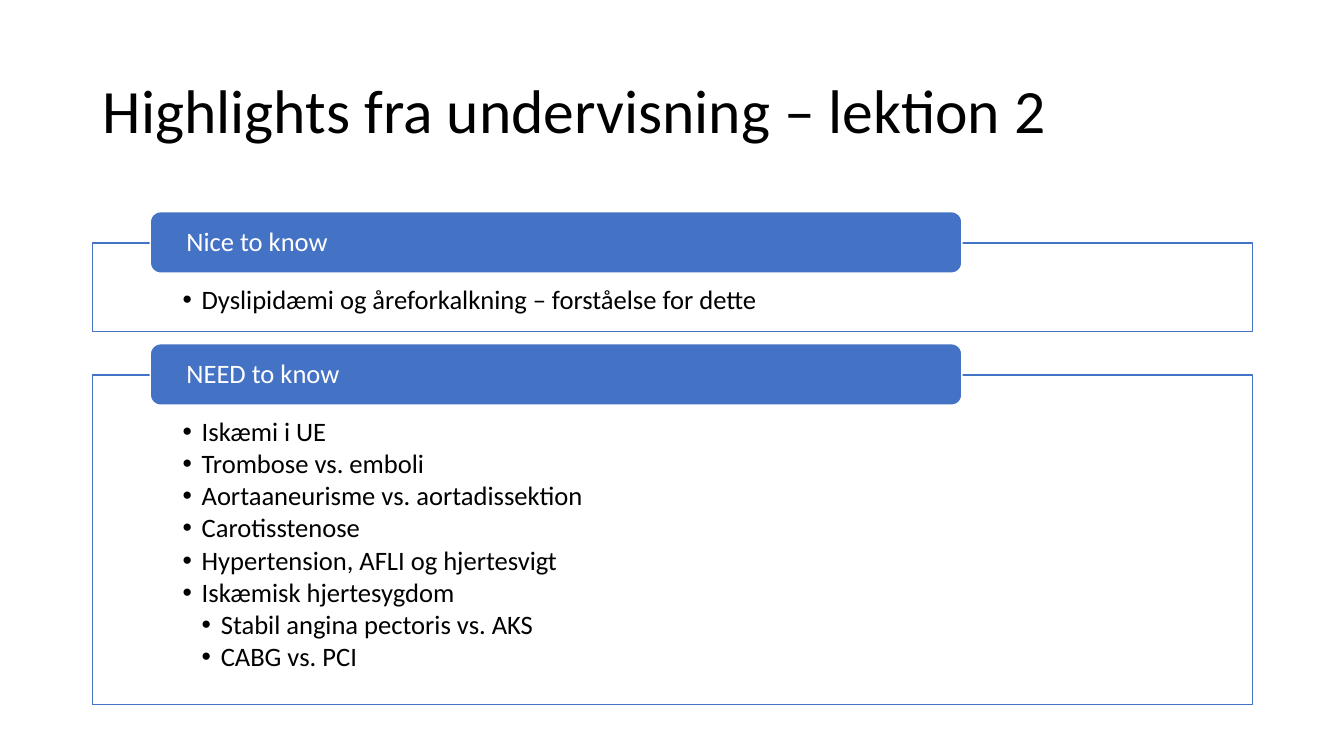
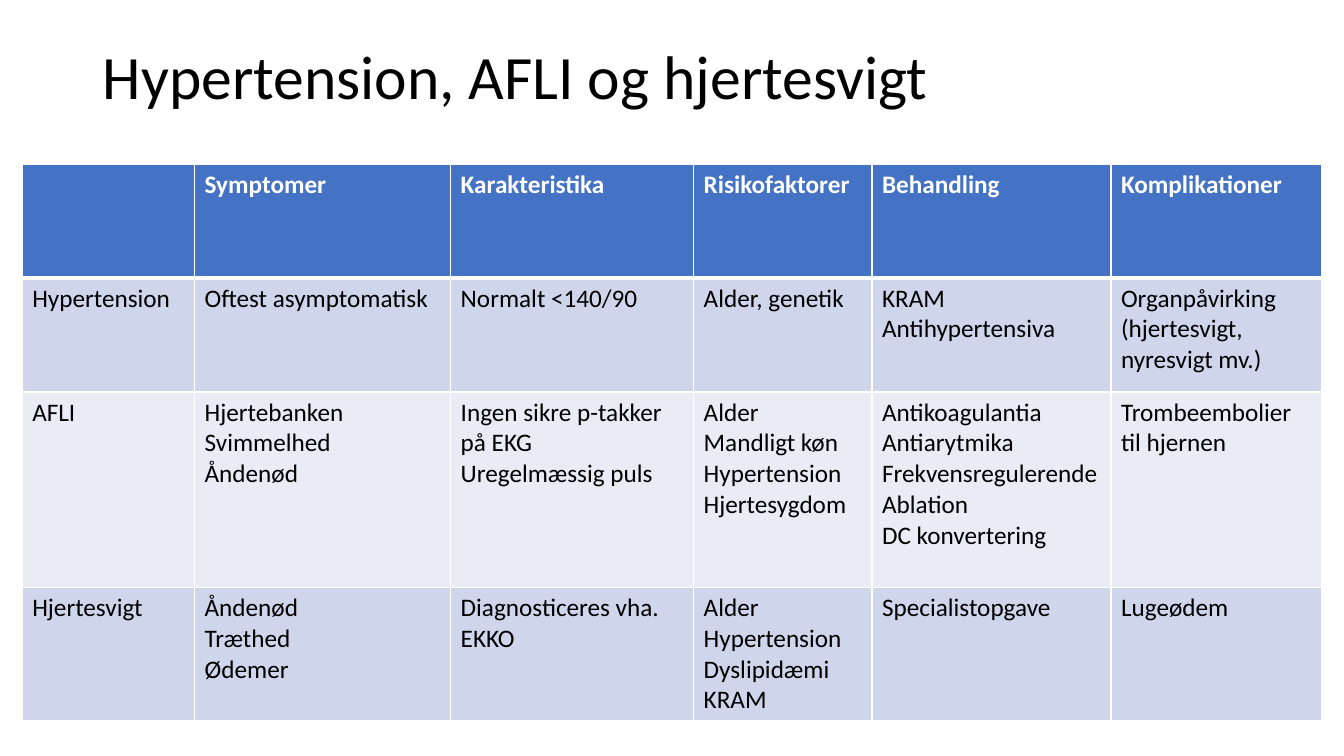
from lxml.etree import SubElement
from pptx import Presentation
from pptx.dml.color import RGBColor
from pptx.enum.shapes import MSO_SHAPE as Shape
from pptx.enum.text import MSO_ANCHOR as Anchor, MSO_AUTO_SIZE as AutoSize, PP_ALIGN as Align
from pptx.oxml.ns import qn
from pptx.util import Inches, Pt

COLORS = {
    "text": "000000",
    "white": "FFFFFF",
    "accent": "4472C4",
    "band_dark": "CFD5EA",
    "band_light": "E9EBF5",
}
FONT = "Calibri"
TITLE_SIZE, LIST_SIZE, TABLE_SIZE = 44, 19, 18
LEFT, WIDTH = 0.92, 11.5
LABEL_HEIGHT, LABEL_OVERLAP = 0.61, 0.31
BULLET_INDENT = 0.19
THIN, THICK = 0.96, 3
TWO_CONTENT, TITLE_ONLY = 3, 5

# Each panel: top, height, label, list of (text, level)
PANELS = [
    (2.41, 0.88, "Nice to know", [
        ("Dyslipidæmi og åreforkalkning – forståelse for dette", 1),
    ]),
    (3.72, 3.27, "NEED to know", [
        ("Iskæmi i UE", 1),
        ("Trombose vs. emboli", 1),
        ("Aortaaneurisme vs. aortadissektion", 1),
        ("Carotisstenose", 1),
        ("Hypertension, AFLI og hjertesvigt", 1),
        ("Iskæmisk hjertesygdom", 1),
        ("Stabil angina pectoris vs. AKS", 2),
        ("CABG vs. PCI", 2),
    ]),
]

COLUMN_WIDTHS = [1.71, 2.54, 2.41, 1.77, 2.37, 2.09]
ROW_HEIGHTS = [1.13, 1.13, 1.94, 1.32]
# Each cell is a list of paragraphs
CONDITIONS = [
    [[], ["Symptomer"], ["Karakteristika"], ["Risikofaktorer"], ["Behandling"],
     ["Komplikationer"]],
    [["Hypertension"], ["Oftest asymptomatisk"], ["Normalt <140/90"], ["Alder, genetik"],
     ["KRAM", "Antihypertensiva"], ["Organpåvirking (hjertesvigt, nyresvigt mv.)"]],
    [["AFLI"], ["Hjertebanken", "Svimmelhed", "Åndenød"],
     ["Ingen sikre p-takker på EKG", "Uregelmæssig puls"],
     ["Alder", "Mandligt køn", "Hypertension", "Hjertesygdom"],
     ["Antikoagulantia", "Antiarytmika", "Frekvensregulerende", "Ablation", "DC konvertering"],
     ["Trombeembolier til hjernen"]],
    [["Hjertesvigt"], ["Åndenød", "Træthed", "Ødemer"], ["Diagnosticeres vha. EKKO"],
     ["Alder", "Hypertension", "Dyslipidæmi", "KRAM"], ["Specialistopgave"], ["Lugeødem"]],
]


def rgb(name):
    return RGBColor.from_string(COLORS[name])


def place(shape, left, top, width, height):
    shape.left, shape.top = Inches(left), Inches(top)
    shape.width, shape.height = Inches(width), Inches(height)


def paint(shape, fill, line):
    shape.fill.solid()
    shape.fill.fore_color.rgb = rgb(fill)
    shape.line.color.rgb = rgb(line)
    shape.line.width = Pt(1)


def set_margins(frame, left, top, right, bottom):
    frame.margin_left, frame.margin_top = Inches(left), Inches(top)
    frame.margin_right, frame.margin_bottom = Inches(right), Inches(bottom)


def add_span(para, text, size, color, bold=False):
    span = para.add_run()
    span.text = text
    span.font.name = FONT
    span.font.size = Pt(size)
    span.font.bold = bold
    span.font.color.rgb = rgb(color)


def add_paragraphs(frame, count):
    """Yield count paragraphs, starting with the one the frame already has."""
    for index in range(count):
        yield frame.add_paragraph() if index else frame.paragraphs[0]


def add_bullet(para, level):
    properties = para._p.get_or_add_pPr()
    properties.set("marL", str(Inches(BULLET_INDENT * level)))
    properties.set("indent", str(-Inches(BULLET_INDENT)))
    SubElement(properties, qn("a:buFont"), typeface="Arial")
    SubElement(properties, qn("a:buChar"), char="•")


def add_borders(cell, top, bottom):
    """Draw white borders; must run before the cell is filled."""
    properties = cell._tc.get_or_add_tcPr()
    for side, width in (("L", THIN), ("R", THIN), ("T", top), ("B", bottom)):
        line = SubElement(properties, qn(f"a:ln{side}"), w=str(Pt(width)))
        fill = SubElement(line, qn("a:solidFill"))
        SubElement(fill, qn("a:srgbClr"), val=COLORS["white"])


class Lesson:
    def __init__(self):
        self.deck = Presentation()
        self.deck.slide_width, self.deck.slide_height = Inches(13.33), Inches(7.5)
        self.page = None

    def add_page(self, layout):
        self.page = self.deck.slides.add_slide(self.deck.slide_layouts[layout])

    def title(self, text, anchor=Anchor.MIDDLE, margin_top=0.05, spacing=0.9):
        box = self.page.shapes.title
        place(box, LEFT, 0.4, WIDTH, 1.45)
        frame = box.text_frame
        frame.auto_size = AutoSize.NONE
        frame.vertical_anchor = anchor
        set_margins(frame, 0.1, margin_top, 0.1, 0.05)
        para = frame.paragraphs[0]
        para.alignment = Align.LEFT
        para.line_spacing = spacing
        add_span(para, text, TITLE_SIZE, "text")

    def panel(self, box, top, height, items):
        """Turn a body placeholder into an outlined bullet list."""
        place(box, LEFT, top, WIDTH, height)
        paint(box, "white", "accent")
        frame = box.text_frame
        frame.auto_size = AutoSize.NONE
        set_margins(frame, 0.89, 0.43, 0.89, 0.15)
        for para, (text, level) in zip(add_paragraphs(frame, len(items)), items):
            para.level = level
            para.line_spacing = 0.9
            para.space_before, para.space_after = Pt(0), Pt(2.5)
            add_bullet(para, level)
            add_span(para, text, LIST_SIZE, "text")

    def label(self, top, text):
        box = self.page.shapes.add_shape(
            Shape.ROUNDED_RECTANGLE, Inches(1.49), Inches(top), Inches(8.05), Inches(LABEL_HEIGHT))
        box.shadow.inherit = False
        paint(box, "accent", "white")
        frame = box.text_frame
        frame.word_wrap = True
        frame.vertical_anchor = Anchor.MIDDLE
        set_margins(frame, 0.33, 0, 0.33, 0)
        para = frame.paragraphs[0]
        para.alignment = Align.LEFT
        para.line_spacing = 0.9
        add_span(para, text, LIST_SIZE, "white")

    def table(self, left, top, rows):
        table = self.page.shapes.add_table(
            len(rows), len(COLUMN_WIDTHS), Inches(left), Inches(top),
            Inches(sum(COLUMN_WIDTHS)), Inches(sum(ROW_HEIGHTS))).table
        for column, width in zip(table.columns, COLUMN_WIDTHS):
            column.width = Inches(width)
        for row, height in zip(table.rows, ROW_HEIGHTS):
            row.height = Inches(height)
        for row_index, row in enumerate(rows):
            for column_index, lines in enumerate(row):
                self.cell(table.cell(row_index, column_index), row_index, lines)

    def cell(self, cell, row_index, lines):
        header = row_index == 0
        add_borders(cell, THICK if row_index == 1 else THIN, THICK if header else THIN)
        band = "band_dark" if row_index % 2 else "band_light"
        cell.fill.solid()
        cell.fill.fore_color.rgb = rgb("accent" if header else band)
        for para, text in zip(add_paragraphs(cell.text_frame, len(lines)), lines):
            add_span(para, text, TABLE_SIZE, "white" if header else "text", header)


def main():
    lesson = Lesson()

    lesson.add_page(TWO_CONTENT)
    lesson.title("Highlights fra undervisning – lektion 2")
    bodies = list(lesson.page.placeholders)[1:]
    for body, (top, height, label, items) in zip(bodies, PANELS):
        lesson.panel(body, top, height, items)
        lesson.label(top - LABEL_OVERLAP, label)

    lesson.add_page(TITLE_ONLY)
    lesson.title("Hypertension, AFLI og hjertesvigt", Anchor.TOP, 0.12, 0.8)
    lesson.table(0.22, 1.63, CONDITIONS)

    lesson.deck.save("out.pptx")


if __name__ == "__main__":
    main()
